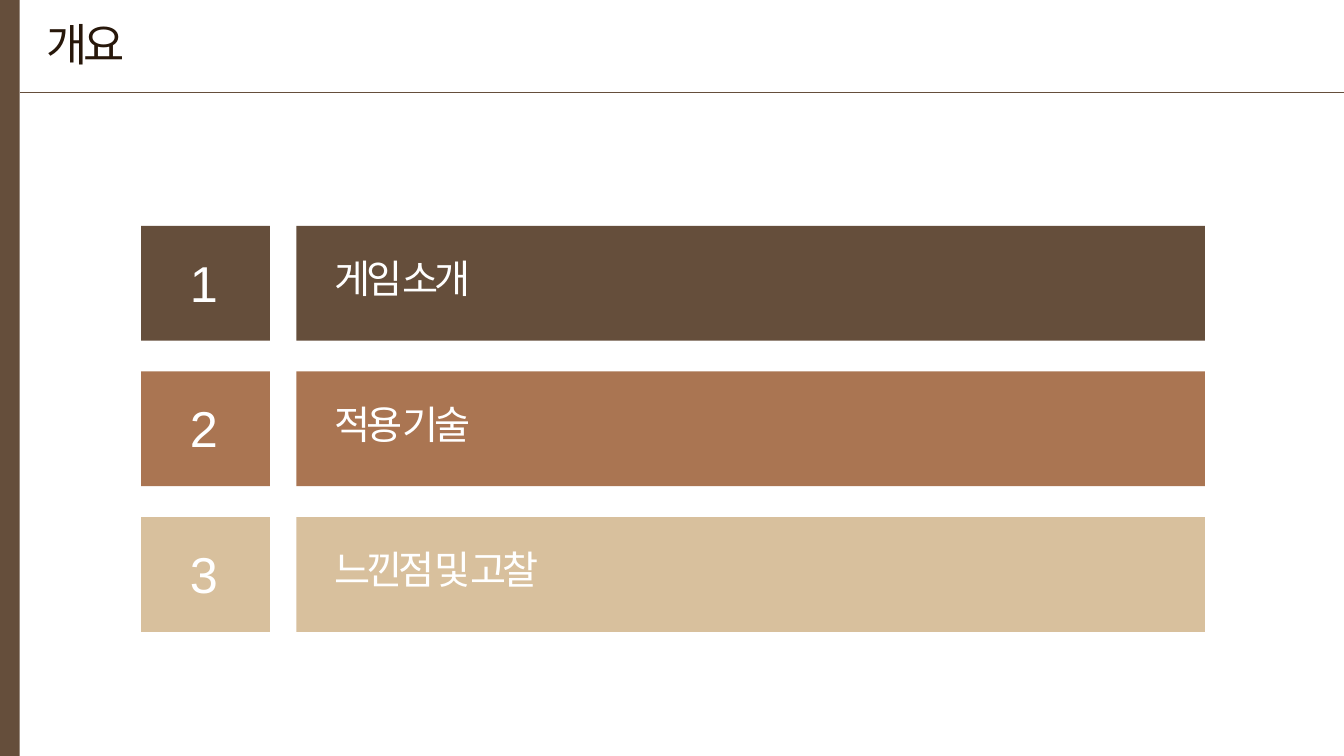
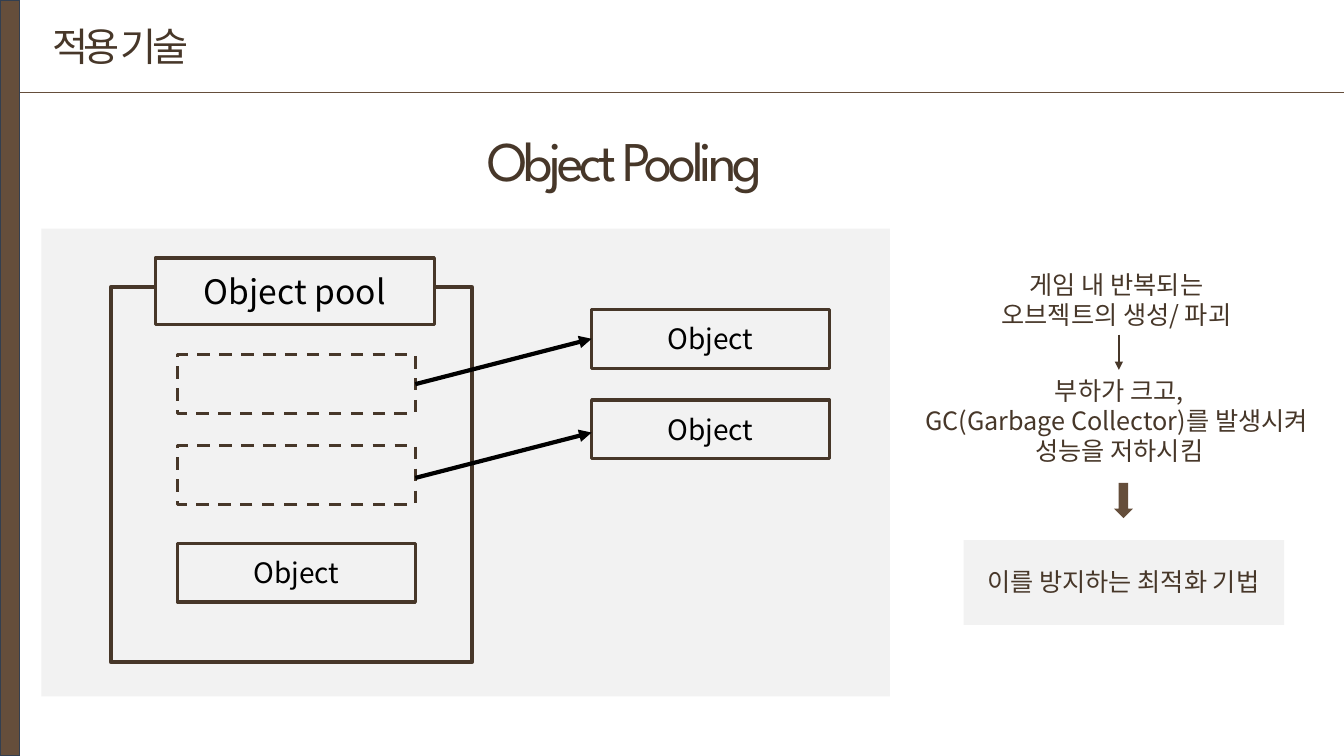
from pptx import Presentation
from pptx import util as u
from pptx.dml import color as c
from pptx.enum import dml, shapes, text
from pptx.oxml import ns, xmlchemy

KOREAN = "Noto Sans CJK KR"
BROWN = "654E3B"
DARK = "473729"
PALE = "F2F2F2"
WHITE = "FFFFFF"
BLACK = "000000"
WIDTH, HEIGHT, BAND, RULE = 960, 540, 14, 65.9
CENTER = text.PP_ALIGN.CENTER
RECT = shapes.MSO_SHAPE.RECTANGLE


def rgb(value):
    return c.RGBColor.from_string(value)


class Board:
    def __init__(self, deck):
        self.deck = deck
        self.slide = None

    def page(self, title, x, y, width, height, size, color, edge=None):
        self.slide = self.deck.slides.add_slide(self.deck.slide_layouts[6])
        self.line((BAND, RULE), (WIDTH, RULE), BROWN, 0.5)
        self.shape(0, 0, BAND, HEIGHT, BROWN, edge, 1)
        self.label([title], x, y, width, height, size, color, spacing=-3)

    def add_lines(self, frame, lines, size, color, font, align, spacing):
        for index, line in enumerate(lines):
            para = frame.paragraphs[0] if index == 0 else frame.add_paragraph()
            para.alignment = align
            span = para.add_run()
            span.text = line
            span.font.size = u.Pt(size)
            span.font.name = font
            span.font.color.rgb = rgb(color)
            props = span.font._element
            east = xmlchemy.OxmlElement("a:ea")
            east.set("typeface", font)
            props.append(east)
            if spacing:
                props.set("spc", str(spacing * 100))

    def label(self, lines, x, y, width, height, size, color, font=KOREAN,
              align=text.PP_ALIGN.LEFT, spacing=0, wrap=False):
        box = self.slide.shapes.add_textbox(u.Pt(x), u.Pt(y), u.Pt(width), u.Pt(height))
        frame = box.text_frame
        frame.word_wrap = wrap
        frame.auto_size = text.MSO_AUTO_SIZE.SHAPE_TO_FIT_TEXT
        self.add_lines(frame, lines, size, color, font, align, spacing)

    def shape(self, x, y, width, height, fill=None, edge=None, weight=2.25,
              dashed=False, caption=None, size=20, kind=RECT):
        box = self.slide.shapes.add_shape(kind, u.Pt(x), u.Pt(y), u.Pt(width), u.Pt(height))
        box.shadow.inherit = False
        if fill:
            box.fill.solid()
            box.fill.fore_color.rgb = rgb(fill)
        else:
            box.fill.background()
        if edge:
            box.line.color.rgb = rgb(edge)
            box.line.width = u.Pt(weight)
            if dashed:
                box.line.dash_style = dml.MSO_LINE.DASH
        else:
            box.line.fill.background()
        if caption:
            box.text_frame.vertical_anchor = text.MSO_ANCHOR.MIDDLE
            self.add_lines(box.text_frame, [caption], size, BLACK, KOREAN, CENTER, 0)

    def line(self, start, end, color, weight, arrow=False):
        points = [u.Pt(value) for value in (*start, *end)]
        connector = self.slide.shapes.add_connector(shapes.MSO_CONNECTOR.STRAIGHT, *points)
        connector.line.color.rgb = rgb(color)
        connector.line.width = u.Pt(weight)
        props = connector._element.spPr
        if arrow:
            tip = xmlchemy.OxmlElement("a:tailEnd")
            tip.set("type", "triangle")
            props.find(ns.qn("a:ln")).append(tip)
        props.append(xmlchemy.OxmlElement("a:effectLst"))


def build_overview(board):
    board.page("개요", 26, 8.6, 73.4, 46, 32, "27170A")
    topics = [("게임 소개", BROWN, 121.7), ("적용 기술", "AA7552", 121.7),
              ("느낀점 및 고찰", "D8C09D", 178.6)]
    for index, (topic, color, width) in enumerate(topics):
        top = 161.3 + 104 * index
        board.shape(100.8, top, 92, 82, color)
        board.shape(211.7, top, 649, 82, color)
        board.label([str(index + 1)], 128.6, top + 15, 31, 51, 36, WHITE,
                    font="Arial", align=CENTER, spacing=-3)
        board.label([topic], 231.8, top + 17, width, 41, 28, WHITE, spacing=-3)


def build_pooling(board):
    board.page("적용 기술", 30.2, 12.2, 121.7, 41, 28, DARK, edge="333F50")
    board.label(["Object Pooling"], 341.3, 86.4, 270, 55.4, 40, DARK,
                font="League Spartan", spacing=-3, wrap=True)

    board.shape(29.5, 163.4, 606.2, 334, PALE)
    board.shape(79.2, 205.2, 257.8, 267.8, edge=DARK, weight=3)
    board.shape(110.9, 184.3, 199.4, 47.5, PALE, DARK, caption="Object pool", size=24)

    slot_x, object_x, width, height, pitch = 126.7, 422.6, 170, 42, 64.8
    slot_top, object_top = 253.4, 221
    for index in range(2):
        board.shape(slot_x, slot_top + pitch * index, width, height, edge=DARK, dashed=True)
        board.shape(object_x, object_top + pitch * index, width, height,
                    edge=DARK, caption="Object")
        drop = height / 2 + 67 * index
        board.line((slot_x + width, slot_top + drop), (object_x, object_top + drop),
                   BLACK, 3, arrow=True)
    board.shape(slot_x, 388, width, height, edge=DARK, caption="Object")

    board.shape(688.3, 385.9, 229, 60.5, PALE)
    reasons = [
        (["게임 내 반복되는 ", "오브젝트의 생성/ 파괴 "], 641.5, 188.6, 51),
        (["부하가 크고,", "GC(Garbage Collector)를 발생시켜 ", "성능을 저하시킴"],
         641.5, 264.2, 72.7),
        (["이를 방지하는 최적화 기법"], 644.4, 401, 29),
    ]
    for lines, x, y, tall in reasons:
        board.label(lines, x, y, 316, tall, 18, DARK, align=CENTER, wrap=True)
    board.line((799.2, 239), (799.2, 264.2), DARK, 1.5, arrow=True)
    board.shape(795.6, 344.9, 13.7, 25.2, BROWN, kind=shapes.MSO_SHAPE.DOWN_ARROW)


def main():
    deck = Presentation()
    deck.slide_width, deck.slide_height = u.Pt(WIDTH), u.Pt(HEIGHT)
    board = Board(deck)
    build_overview(board)
    build_pooling(board)
    deck.save("out.pptx")


if __name__ == "__main__":
    main()
